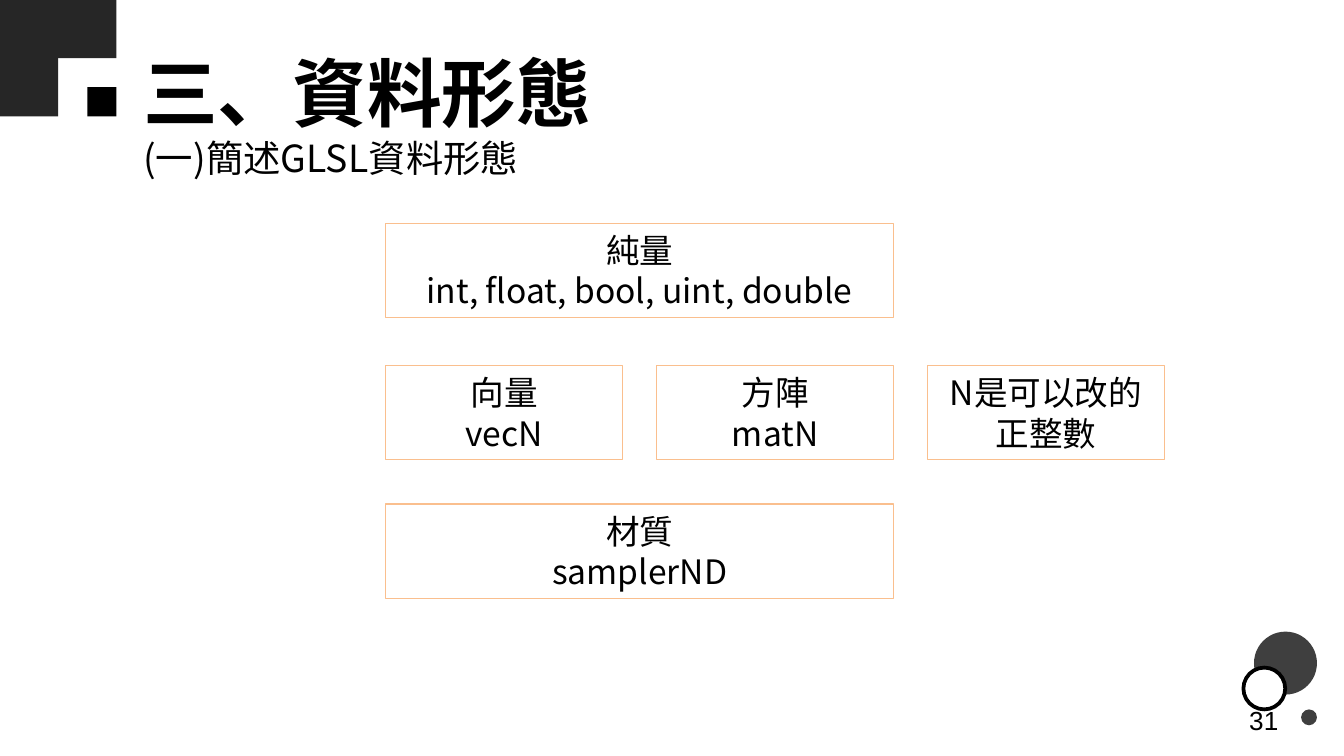
"""Build the slide on GLSL data types."""
from lxml.etree import SubElement
from pptx import Presentation
from pptx.dml.color import RGBColor
from pptx.enum.shapes import MSO_SHAPE
from pptx.enum.text import MSO_ANCHOR, PP_ALIGN
from pptx.oxml.ns import qn
from pptx.util import Cm, Pt

CJK = "Noto Sans CJK TC"
TITLE = {"size": Pt(40), "name": "Arial", "bold": True}
SUBTITLE = {"size": Pt(20), "name": CJK}
BODY = {"size": Pt(18), "name": CJK}
NUMBER = {"size": Pt(14), "name": "Arial"}

HEADINGS = [
    ("三、資料形態", (2.46, 0.53, 11.84, 2.39), TITLE, PP_ALIGN.LEFT, MSO_ANCHOR.MIDDLE),
    ("(一)簡述GLSL資料形態", (2.46, 2.44, 9.63, 1.09), SUBTITLE, PP_ALIGN.LEFT, MSO_ANCHOR.TOP),
    ("31", (18.49, 13.23, 5.92, 0.76), NUMBER, PP_ALIGN.RIGHT, MSO_ANCHOR.MIDDLE),
]
TYPES = [
    (4.22, [(["純量", "int, float, bool, uint, double"], 2)]),
    (6.91, [(["向量", "vecN"], 1), (["方陣", "matN"], 1), (["N是可以改的正整數"], 1)]),
    (9.53, [(["材質", "samplerND"], 2)]),
]
LEFT, COL, GAP, HEIGHT = 7.29, 4.48, 0.64, 1.78

UNIT = 1.1
SQUARES = [
    (0, 0, 1, "262626"),
    (1, 0, 1, "262626"),
    (0, 1, 1, "262626"),
    (1.5, 1.5, 0.5, "000000"),
]
CIRCLES = [
    (23.7, 11.94, 1.19, "3F3F3F", None),
    (24.59, 13.41, 0.3, "3F3F3F", None),
    (23.5, 12.62, 0.79, "FFFFFF", ("000000", 2)),
]


def rgb(value):
    return RGBColor.from_string(value)


def add_shape(s, kind, box, fill=None, line=None):
    sp = s.shapes.add_shape(kind, *map(Cm, box))
    sp.shadow.inherit = False
    if fill:
        sp.fill.solid()
        sp.fill.fore_color.rgb = rgb(fill)
    else:
        sp.fill.background()
    if line:
        color, width = line
        sp.line.color.rgb = rgb(color)
        sp.line.width = Pt(width)
    else:
        sp.line.fill.background()
    return sp


def write(sp, lines, fmt, align, anchor=MSO_ANCHOR.TOP):
    tf = sp.text_frame
    tf.word_wrap = True
    tf.vertical_anchor = anchor
    for i, text in enumerate(lines):
        p = tf.add_paragraph() if i else tf.paragraphs[0]
        p.alignment = align
        r = p.add_run()
        r.text = text
        r.font.color.rgb = rgb("000000")
        for key, value in fmt.items():
            setattr(r.font, key, value)
        SubElement(r.font._element, qn("a:ea"), typeface=fmt["name"])


def main():
    prs = Presentation()
    prs.slide_width, prs.slide_height = Cm(25.4), Cm(14.29)
    s = prs.slides.add_slide(prs.slide_layouts[6])

    for x, y, side, fill in SQUARES:
        add_shape(s, MSO_SHAPE.RECTANGLE, [v * UNIT for v in (x, y, side, side)], fill)
    for x, y, d, fill, line in CIRCLES:
        add_shape(s, MSO_SHAPE.OVAL, (x, y, d, d), fill, line)
    for text, box, fmt, align, anchor in HEADINGS:
        write(s.shapes.add_textbox(*map(Cm, box)), [text], fmt, align, anchor)

    for top, cells in TYPES:
        x = LEFT
        for lines, span in cells:
            width = span * COL + (span - 1) * GAP
            sp = add_shape(s, MSO_SHAPE.RECTANGLE, (x, top, width, HEIGHT), line=("FABF8E", 0.75))
            write(sp, lines, BODY, PP_ALIGN.CENTER)
            x += width + GAP

    prs.save("out.pptx")


if __name__ == "__main__":
    main()
